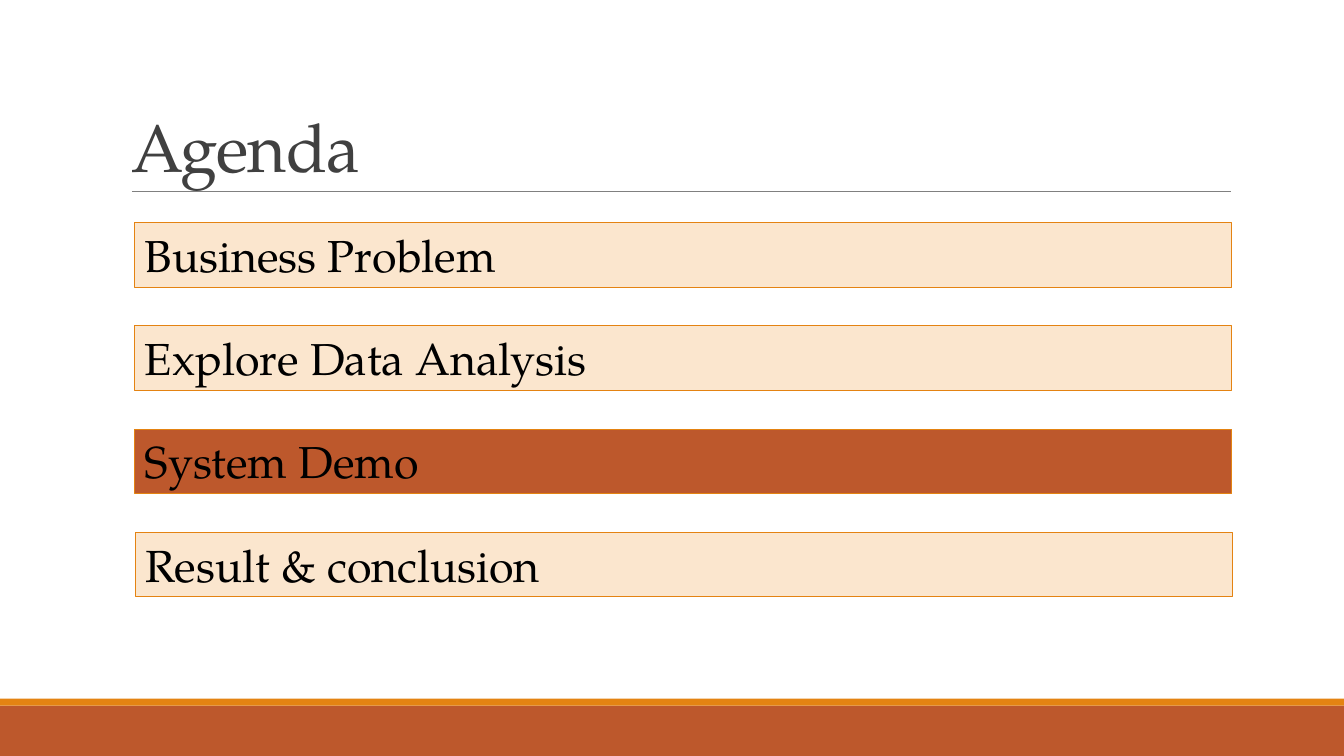
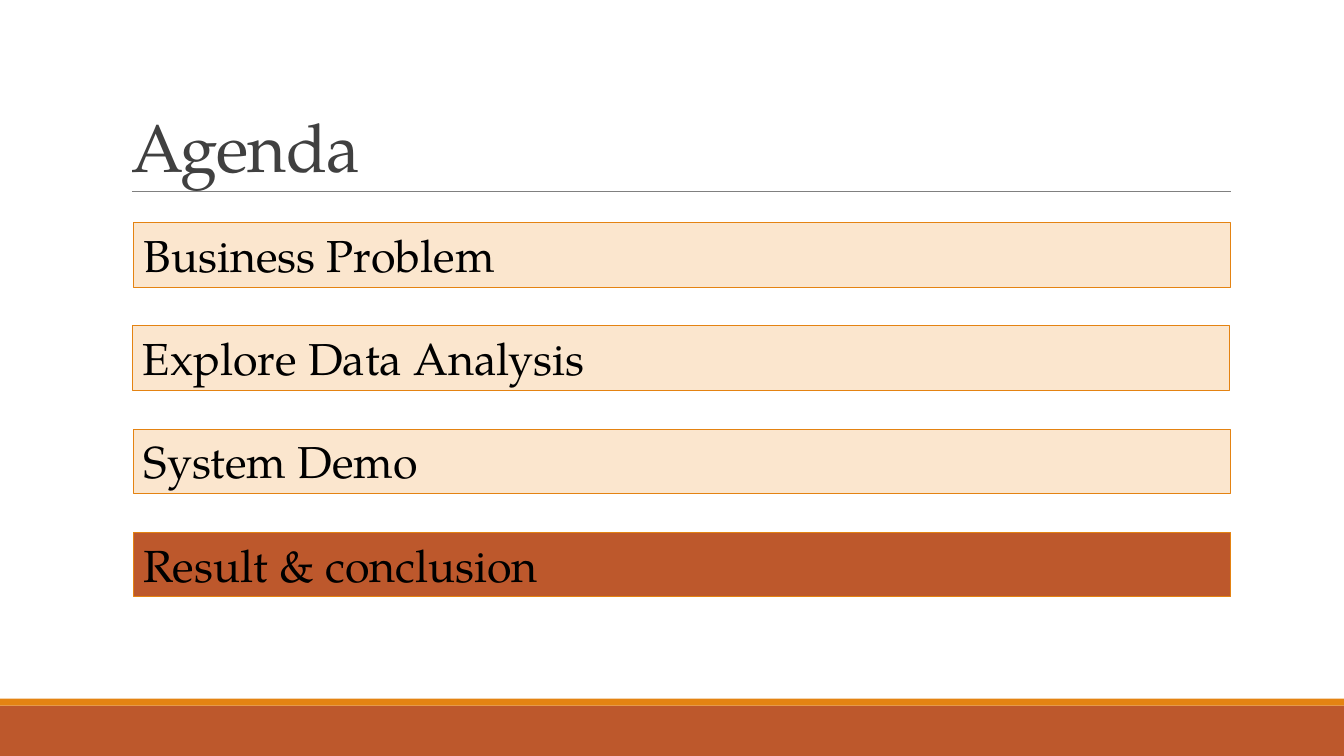
from lxml import etree
from pptx import Presentation
from pptx.dml.color import RGBColor
from pptx.enum import shapes, text
from pptx.oxml.ns import qn
from pptx.util import Pt

RUST = RGBColor(0xBD, 0x58, 0x2C)
ORANGE = RGBColor(0xE4, 0x83, 0x12)
CREAM = RGBColor(0xFB, 0xE6, 0xCE)
GRAY = RGBColor(0x80, 0x80, 0x80)
DARK = RGBColor(0x40, 0x40, 0x40)
BLACK = RGBColor(0, 0, 0)
FONT = "TeX Gyre Pagella"

WIDTH, HEIGHT = 960, 540
TOPICS = ["Business Problem", "Explore Data Analysis",
          "System Demo", "Result & conclusion"]
TOP, STEP = 159.1, 73.7
BAR_W, BAR_H = 783.4, 46.1


def style(para, size, color):
    para.font.name = FONT
    para.font.size = Pt(size)
    para.font.color.rgb = color


def add_band(slide, top, height, color):
    band = slide.shapes.add_shape(shapes.MSO_SHAPE.RECTANGLE, 0, Pt(top),
                                  Pt(WIDTH), Pt(height))
    band.shadow.inherit = False
    band.fill.solid()
    band.fill.fore_color.rgb = color
    band.line.fill.background()


def add_rule(slide, left, right, top):
    rule = slide.shapes.add_connector(shapes.MSO_CONNECTOR.STRAIGHT, Pt(left),
                                      Pt(top), Pt(right), Pt(top))
    rule.line.color.rgb = GRAY
    rule.line.width = Pt(0.5)
    etree.SubElement(rule._element.spPr, qn("a:effectLst"))


def set_title(slide, words):
    title = slide.shapes.title
    title.left, title.top = Pt(86.4), Pt(22.3)
    title.width, title.height = Pt(792), Pt(114.5)
    frame = title.text_frame
    frame.text = words
    frame.auto_size = text.MSO_AUTO_SIZE.NONE
    frame.vertical_anchor = text.MSO_ANCHOR.BOTTOM
    para = frame.paragraphs[0]
    para.alignment = text.PP_ALIGN.LEFT
    para.line_spacing = 0.85
    style(para, 48, DARK)
    para.runs[0].font._element.set("spc", "-50")


def add_bar(slide, left, top, words, color):
    bar = slide.shapes.add_textbox(Pt(left), Pt(top), Pt(BAR_W), Pt(BAR_H))
    bar.fill.solid()
    bar.fill.fore_color.rgb = color
    bar.line.color.rgb = ORANGE
    bar.line.width = Pt(0.75)
    frame = bar.text_frame
    frame.text = words
    frame.word_wrap = True
    frame.auto_size = text.MSO_AUTO_SIZE.SHAPE_TO_FIT_TEXT
    style(frame.paragraphs[0], 32, BLACK)


def add_agenda(deck, active, lefts):
    """Add an agenda slide with the active topic highlighted."""
    slide = deck.slides.add_slide(deck.slide_layouts.get_by_name("Title Only"))
    add_band(slide, 504, HEIGHT - 504, RUST)
    add_band(slide, 499, 5, ORANGE)
    add_rule(slide, 94.3, 879, 136.8)
    set_title(slide, "Agenda")
    for row, (topic, left) in enumerate(zip(TOPICS, lefts)):
        color = RUST if topic == active else CREAM
        add_bar(slide, left, TOP + row * STEP, topic, color)


def main():
    deck = Presentation()
    deck.slide_width, deck.slide_height = Pt(WIDTH), Pt(HEIGHT)
    add_agenda(deck, "System Demo", [96.4, 96.4, 96.4, 97])
    add_agenda(deck, "Result & conclusion", [95.6, 95, 95.6, 95.6])
    deck.save("out.pptx")


if __name__ == "__main__":
    main()
